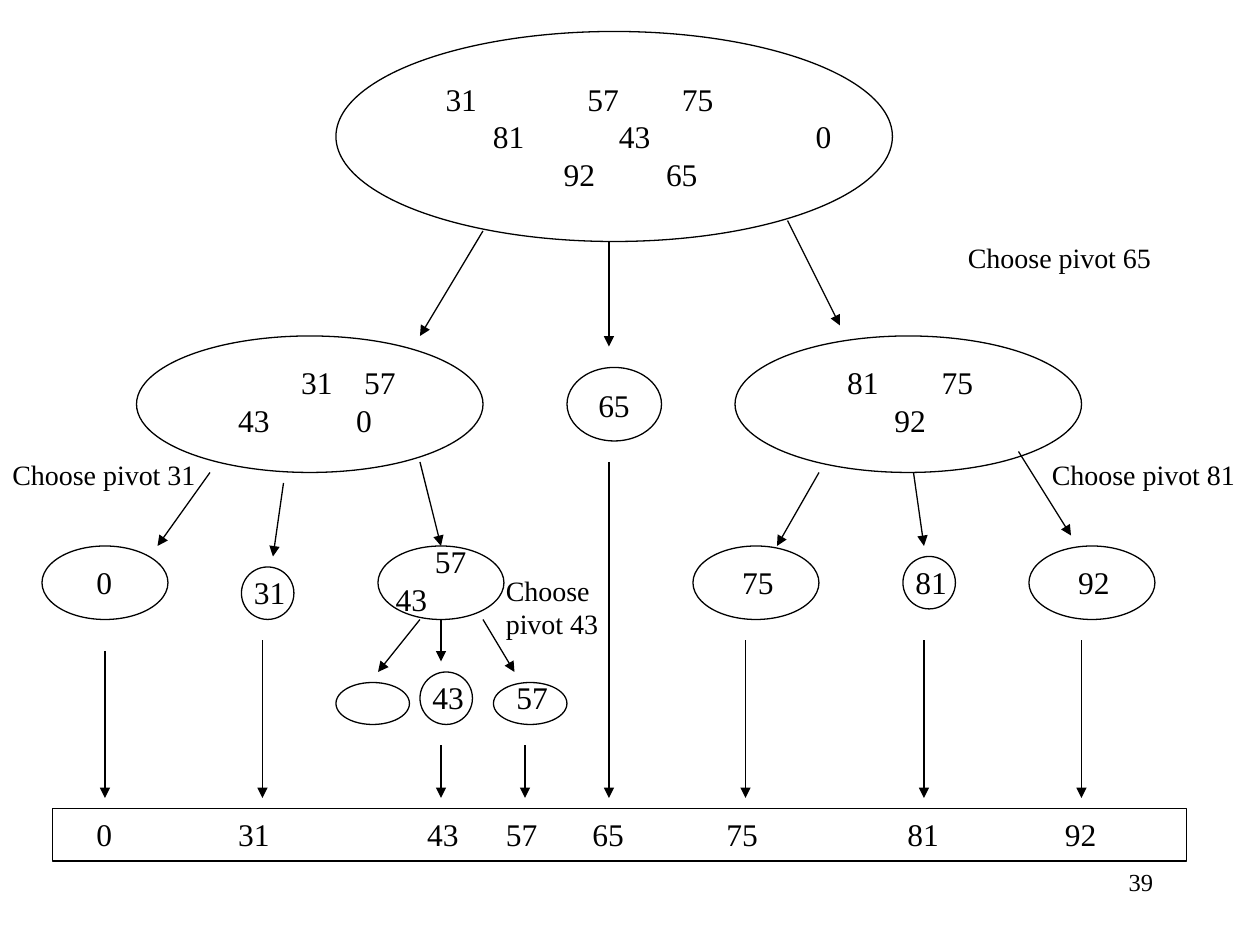
from pptx import Presentation
from pptx.dml.color import RGBColor
from pptx.enum.shapes import MSO_CONNECTOR as Connector, MSO_SHAPE as Preset
from pptx.enum.text import MSO_ANCHOR as Anchor, PP_ALIGN as Align
from pptx.oxml.ns import qn
from pptx.util import Inches, Pt
from lxml.etree import SubElement

THEME = {
    "font": "Times New Roman", "ink": RGBColor(0, 0, 0), "line": Pt(0.75),
    "number": Pt(18), "label": Pt(16), "footer": Pt(14),
}
COLUMNS, ROWS = 120, 90        # page grid
TAB = Inches(1) // 16          # half the width of one 18 pt digit
INSET = Inches(0.1)

# (left, top, width, height) in grid cells
OVALS = [
    (32, 3, 53, 20),
    (13, 32, 33, 13), (54, 35, 9, 7), (70, 32, 33, 13),
    *[(left, 52, 12, 7) for left in (4, 36, 66, 98)],
    (23, 54, 5, 5), (86, 53, 5, 5),
    (32, 65, 7, 4), (40, 64, 5, 5), (47, 65, 7, 4),
]
RESULT_BAR = (5, 77, 108, 5)

# (left, top, width, lines); a line lists (tab position, number)
NUMBERS = [
    (33, 7, 50, [
        [(11, "31"), (29, "57"), (41, "75")],
        [(17, "81"), (33, "43"), (58, "0")],
        [(26, "92"), (39, "65")]]),
    (20, 34, 19, [[(10, "31"), (18, "57")], [(2, "43"), (17, "0")]]),
    (55.8, 36.2, 6, [[(0, "65")]]),
    (78, 34, 16, [[(2, "81"), (14, "75")], [(8, "92")]]),
    (8, 53, 4, [[(0, "0")]]),
    (23, 54, 6, [[(0, "31")]]),
    (35, 51, 12, [[(7, "57")], [(2, "43")]]),
    (68, 53, 7, [[(2, "75")]]),
    (86, 53, 6, [[(0, "81")]]),
    (100, 53, 7, [[(2, "92")]]),
    (40, 64, 6, [[(0, "43")]]),
    (48, 64, 6, [[(0, "57")]]),
    (8, 77, 98, [[
        (0, "0"), (18, "31"), (42, "43"), (52, "57"),
        (63, "65"), (80, "75"), (103, "81"), (123, "92")]]),
]
LABELS = [
    (91, 22.3, 20, ["Choose pivot 65"]),
    (99, 43, 20, ["Choose pivot 81"]),
    (0, 43, 20, ["Choose pivot 31"]),
    (47, 54, 12, ["Choose", "pivot 43"]),
]
PAGE_NUMBER = (90, 82, 21, ["39"])

# (from column, from row, to column, to row)
SPLITS = [
    (46, 22, 40, 32), (58, 23, 58, 33), (75, 21, 80, 31),
    (20, 45, 15, 52), (27, 46, 26, 53), (40, 44, 42, 52),
    (78, 45, 74, 52), (87, 45, 88, 52), (97, 43, 102, 51),
    (40, 59, 36, 64), (42, 59, 42, 63), (46, 59, 49, 64),
]
DROP_ROW = 76
DROPS = [(10, 62), (25, 61), (42, 71), (50, 71), (58, 44),
         (71, 61), (88, 61), (103, 61)]

deck = Presentation()
deck.slide_width, deck.slide_height = Inches(10), Inches(7.5)
page = deck.slides.add_slide(deck.slide_layouts[6])


def on_page(*cells):
    """Turn alternating column and row counts into slide lengths."""
    sizes = (deck.slide_width / COLUMNS, deck.slide_height / ROWS)
    return [round(cell * sizes[place % 2]) for place, cell in enumerate(cells)]


def add_outline(preset, cells):
    shape = page.shapes.add_shape(preset, *on_page(*cells))
    shape.shadow.inherit = False
    shape.fill.background()
    shape.line.color.rgb, shape.line.width = THEME["ink"], THEME["line"]


def add_arrow(cells):
    arrow = page.shapes.add_connector(Connector.STRAIGHT, *on_page(*cells))
    arrow.line.color.rgb, arrow.line.width = THEME["ink"], THEME["line"]
    properties = arrow.element.spPr
    SubElement(properties.find(qn("a:ln")), qn("a:tailEnd"), type="triangle")
    SubElement(properties, qn("a:effectLst"))


def set_tabs(para, stops):
    tabs = SubElement(para._p.get_or_add_pPr(), qn("a:tabLst"))
    for stop in stops:
        SubElement(tabs, qn("a:tab"), pos=str(stop * TAB), algn="l")


def add_text(left, top, width, lines, size, align=Align.LEFT):
    """Lines are plain strings, or lists of (tab position, number)."""
    box = page.shapes.add_textbox(*on_page(left, top, width, 1 + 4 * len(lines)))
    frame = box.text_frame
    layout = {"word_wrap": True, "vertical_anchor": Anchor.TOP,
              "margin_left": INSET,
              "margin_right": INSET if align == Align.RIGHT else 0}
    for name, value in layout.items():
        setattr(frame, name, value)
    for index, line in enumerate(lines):
        para = frame.add_paragraph() if index else frame.paragraphs[0]
        para.alignment = align
        if not isinstance(line, str):
            stops = [stop for stop, _ in line if stop]
            if stops:
                set_tabs(para, stops)
            line = "".join(("\t" if stop else "") + word for stop, word in line)
        span = para.add_run()
        span.text = line
        span.font.name, span.font.size = THEME["font"], THEME[size]
        span.font.color.rgb = THEME["ink"]


for oval in OVALS:
    add_outline(Preset.OVAL, oval)
add_outline(Preset.RECTANGLE, RESULT_BAR)
for split in SPLITS:
    add_arrow(split)
for column, row in DROPS:
    add_arrow((column, row, column, DROP_ROW))
for group in NUMBERS:
    add_text(*group, "number")
for label in LABELS:
    add_text(*label, "label")
add_text(*PAGE_NUMBER, "footer", Align.RIGHT)

deck.save("out.pptx")
